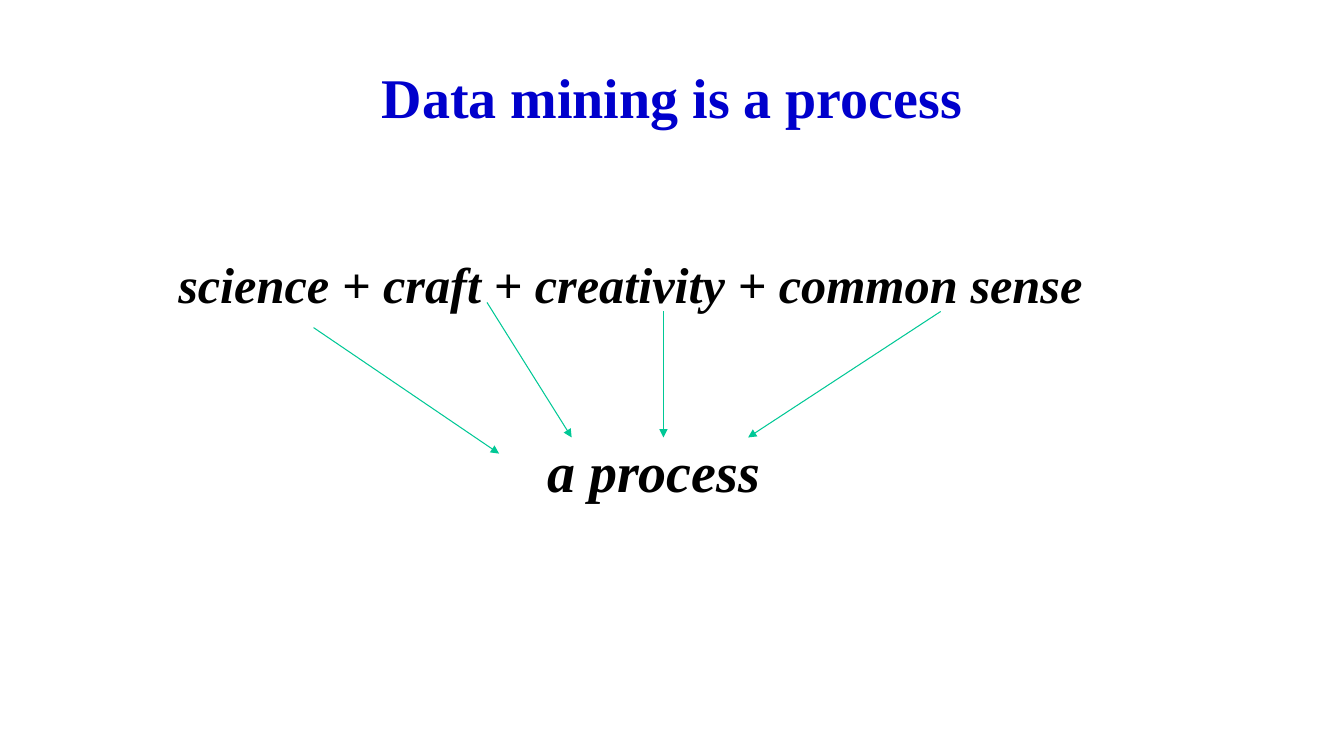
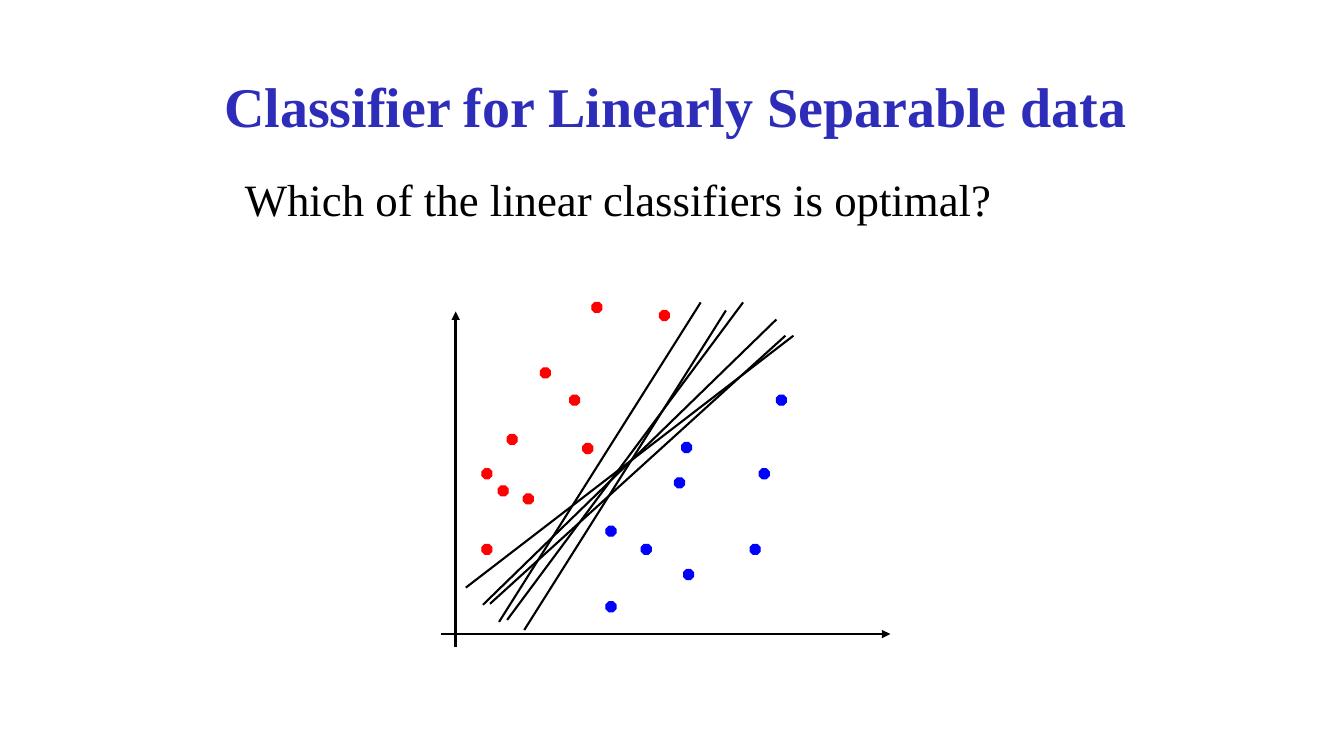
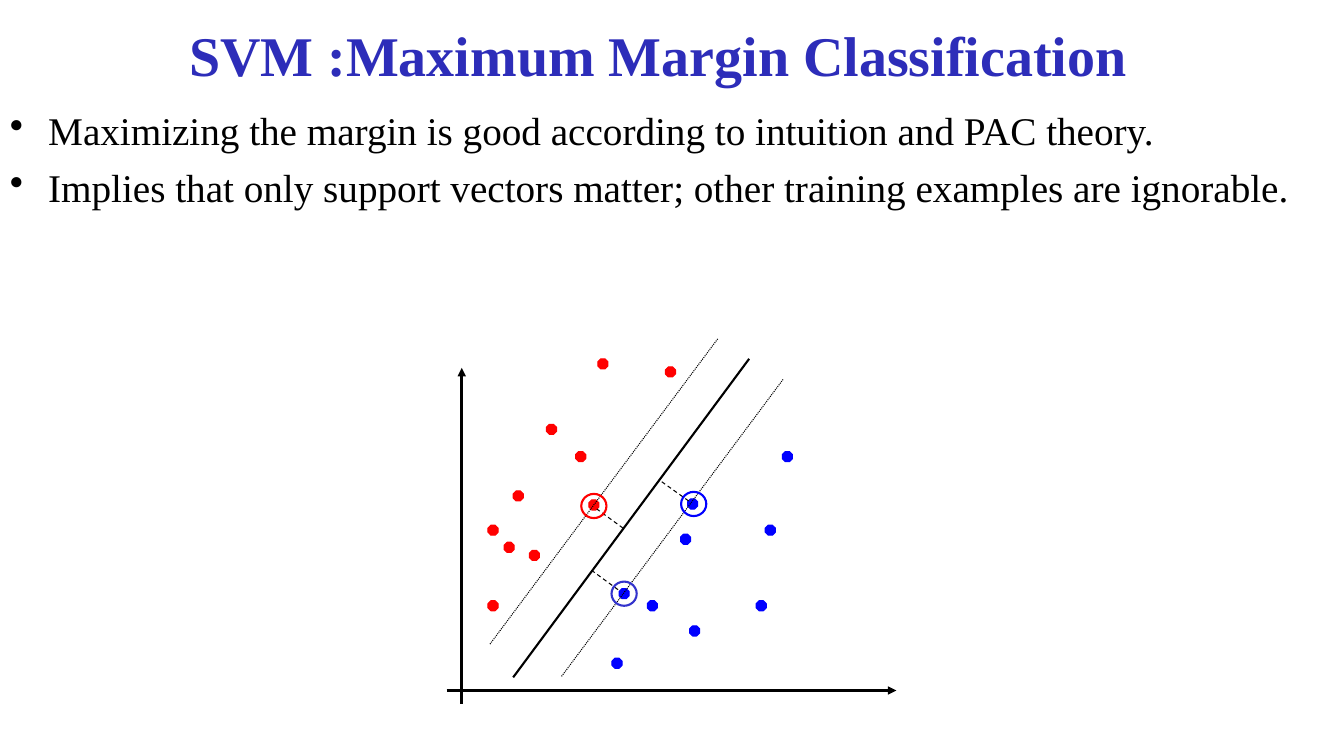
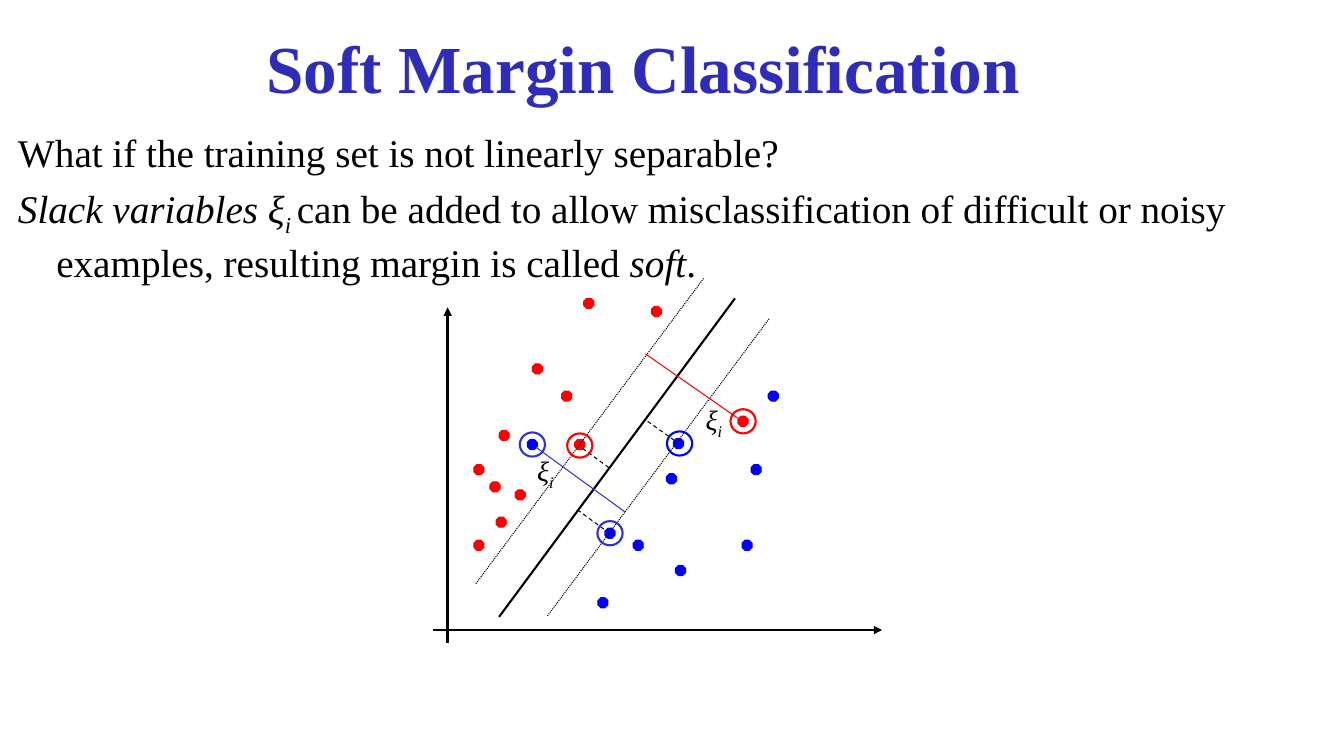
from dataclasses import dataclass

import lxml.etree
import pptx
import pptx.dml.color
import pptx.enum.dml
import pptx.enum.shapes
import pptx.enum.text
import pptx.oxml.ns
import pptx.presentation
import pptx.slide
import pptx.text.text
import pptx.util

Inches = pptx.util.Inches
Pt = pptx.util.Pt
RGBColor = pptx.dml.color.RGBColor
Dash = pptx.enum.dml.MSO_LINE
Shape = pptx.enum.shapes.MSO_SHAPE
qn = pptx.oxml.ns.qn

# Shared style
FONT = "Times New Roman"
BLACK = RGBColor(0x00, 0x00, 0x00)
ROYAL = RGBColor(0x00, 0x00, 0xCC)
INDIGO = RGBColor(0x2D, 0x2D, 0xB9)
VIOLET = RGBColor(0x33, 0x33, 0xCC)
RED = RGBColor(0xFF, 0x00, 0x00)
BLUE = RGBColor(0x00, 0x00, 0xFF)
GREEN = RGBColor(0x00, 0xC8, 0x96)
TITLE_HEIGHT = 1.25
HANGING = 0.38
DOT = 0.1
RING_WIDTH, RING_HEIGHT = 0.25, 0.24

Point = tuple[float, float]


@dataclass(frozen=True)
class Box:
    left: float
    top: float
    width: float
    height: float

    def lengths(self) -> list[int]:
        return [Inches(v) for v in (self.left, self.top, self.width, self.height)]


@dataclass(frozen=True)
class Span:
    text: str
    italic: bool = False
    subscript: bool = False


@dataclass(frozen=True)
class Stroke:
    color: RGBColor = BLACK
    width: float = 0.75
    dash: Dash | None = None
    arrow: bool = False


@dataclass(frozen=True)
class Mark:
    """A data point or a ring, placed by its centre."""
    x: float
    y: float
    color: RGBColor


AXIS = Stroke(width=2, arrow=True)
BOUNDARY = Stroke(width=1.5)
MARGIN = Stroke(dash=Dash.ROUND_DOT)
DISTANCE = Stroke(dash=Dash.DASH)
FLOW = Stroke(color=GREEN, arrow=True)


# Text
def add_text(page: pptx.slide.Slide, box: Box, paragraphs: list[list[Span]], size: float,
             color: RGBColor = BLACK, bold: bool = False, hanging: bool = False,
             bullet: str = "") -> pptx.text.text.TextFrame:
    frame = page.shapes.add_textbox(*box.lengths()).text_frame
    frame.word_wrap = True
    for number, spans in enumerate(paragraphs):
        para = frame.add_paragraph() if number else frame.paragraphs[0]
        font = para.font
        font.name, font.size, font.bold = FONT, Pt(size), bold
        font.color.rgb = color
        if number:
            para.space_before = Pt(round(size * 0.24, 1))
        for span in spans:
            run = para.add_run()
            run.text = span.text
            if span.italic:
                run.font.italic = True
            if span.subscript:
                run._r.get_or_add_rPr().set("baseline", "-25000")
        if hanging:
            properties = para._p.get_or_add_pPr()
            properties.set("marL", str(Inches(HANGING)))
            properties.set("indent", str(-Inches(HANGING)))
            if bullet:
                mark = lxml.etree.Element(qn("a:buChar"), char=bullet)
                properties.find(qn("a:defRPr")).addprevious(mark)
    return frame


def add_page(deck: pptx.presentation.Presentation, title: str, left: float, top: float,
             width: float, size: float = 40, color: RGBColor = INDIGO) -> pptx.slide.Slide:
    page = deck.slides.add_slide(deck.slide_layouts[6])
    frame = add_text(page, Box(left, top, width, TITLE_HEIGHT), [[Span(title)]],
                     size, color, bold=True)
    frame.vertical_anchor = pptx.enum.text.MSO_ANCHOR.MIDDLE
    frame.paragraphs[0].alignment = pptx.enum.text.PP_ALIGN.CENTER
    return page


# Lines
def add_line(page: pptx.slide.Slide, start: Point, end: Point, stroke: Stroke) -> None:
    line = page.shapes.add_connector(pptx.enum.shapes.MSO_CONNECTOR.STRAIGHT,
                                     *(Inches(v) for v in start + end))
    line.line.color.rgb = stroke.color
    line.line.width = Pt(stroke.width)
    if stroke.dash is not None:
        line.line.dash_style = stroke.dash
    if stroke.arrow:
        lxml.etree.SubElement(line.line._get_or_add_ln(), qn("a:tailEnd"), type="triangle")
    lxml.etree.SubElement(line._element.spPr, qn("a:effectLst"))


# Scatter plot, measured in inches right of and above its origin
@dataclass(frozen=True)
class Plot:
    page: pptx.slide.Slide
    x: float
    y: float

    def line(self, start: Point, end: Point, stroke: Stroke) -> None:
        add_line(self.page, (self.x + start[0], self.y - start[1]),
                 (self.x + end[0], self.y - end[1]), stroke)

    def mark(self, mark: Mark, kind: Shape, width: float, height: float,
             line_width: float, filled: bool) -> None:
        box = Box(self.x + mark.x - width / 2, self.y - mark.y - height / 2, width, height)
        shape = self.page.shapes.add_shape(kind, *box.lengths())
        shape.shadow.inherit = False
        shape.line.color.rgb = mark.color
        shape.line.width = Pt(line_width)
        if filled:
            shape.fill.solid()
            shape.fill.fore_color.rgb = mark.color
        else:
            shape.fill.background()

    def dot(self, mark: Mark) -> None:
        self.mark(mark, Shape.OCTAGON, DOT, DOT, 0.75, True)

    def ring(self, mark: Mark) -> None:
        self.mark(mark, Shape.OVAL, RING_WIDTH, RING_HEIGHT, 1.5, False)


RED_POINTS = [(1.18, 2.32), (0.56, 1.93), (0.72, 1.34), (0.31, 0.84), (0.89, 2.59),
              (0.31, 1.59), (0.47, 1.42), (1.31, 1.84), (1.4, 3.24), (2.07, 3.16)]
BLUE_POINTS = [(2.29, 1.85), (1.89, 0.84), (2.97, 0.84), (1.54, 0.27), (2.22, 1.5),
               (2.31, 0.59), (3.06, 1.59), (3.23, 2.32)]
LOOSE_POINT = (1.54, 1.02)
SUPPORT_POINT = (1.61, 0.96)

CANDIDATES = [((0.34, 0.3), (3.27, 2.96)), ((0.51, 0.14), (2.85, 3.29)),
              ((0.1, 0.46), (3.35, 2.96)), ((0.68, 0.04), (2.68, 3.21)),
              ((0.43, 0.12), (2.43, 3.29)), ((0.27, 0.29), (3.18, 3.12))]
MARGIN_LINES = [((0.51, 0.13), (2.85, 3.29), BOUNDARY),
                ((0.99, 0.14), (3.19, 3.09), MARGIN),
                ((0.28, 0.46), (2.54, 3.49), MARGIN),
                ((2.25, 1.88), (1.97, 2.08), DISTANCE),
                ((1.55, 1.0), (1.29, 1.19), DISTANCE),
                ((1.6, 1.61), (1.34, 1.8), DISTANCE)]
SUPPORT_RINGS = [Mark(1.31, 1.83, RED), Mark(*SUPPORT_POINT, VIOLET), Mark(2.3, 1.85, BLUE)]


def add_plot(page: pptx.slide.Slide, x: float, y: float, extra_blue: Point) -> Plot:
    plot = Plot(page, x, y)
    plot.line((0, -0.13), (0, 3.2), AXIS)
    plot.line((-0.15, 0), (4.31, 0), AXIS)
    for color, points in ((RED, RED_POINTS), (BLUE, BLUE_POINTS + [extra_blue])):
        for point in points:
            plot.dot(Mark(*point, color))
    return plot


def add_margin_plot(page: pptx.slide.Slide, x: float, y: float) -> Plot:
    plot = add_plot(page, x, y, SUPPORT_POINT)
    for start, end, stroke in MARGIN_LINES:
        plot.line(start, end, stroke)
    for ring in SUPPORT_RINGS:
        plot.ring(ring)
    return plot


# Slides
def build_process(deck: pptx.presentation.Presentation) -> None:
    page = add_page(deck, "Data mining is a process", 1, 0.33, 11.33, color=ROYAL)
    add_text(page, Box(1.67, 2.46, 10.33, 0.7),
             [[Span("science + craft + creativity + common sense", italic=True)]], 36, bold=True)
    add_text(page, Box(5.33, 4.28, 3, 0.75), [[Span("a process", italic=True)]], 40, bold=True)
    for start, end in (((3.11, 3.25), (4.95, 4.5)), ((4.83, 3), (5.67, 4.34)),
                       ((9.33, 3.09), (7.42, 4.34)), ((6.58, 3.09), (6.58, 4.34))):
        add_line(page, start, end, FLOW)


def build_linear(deck: pptx.presentation.Presentation) -> None:
    page = add_page(deck, "Classifier for Linearly Separable data", 1.74, 0.42, 9.92)
    add_text(page, Box(2.33, 1.65, 9, 0.7),
             [[Span("Which of the linear classifiers is optimal?")]], 32, hanging=True)
    plot = add_plot(page, 4.52, 6.29, LOOSE_POINT)
    for start, end in CANDIDATES:
        plot.line(start, end, BOUNDARY)


def build_maximum_margin(deck: pptx.presentation.Presentation) -> None:
    page = add_page(deck, "SVM :Maximum Margin Classification", 0.86, -0.09, 11.33)
    add_text(page, Box(0, 1.01, 13, 1.2), [
        [Span("Maximizing the margin is good according to intuition and PAC theory.")],
        [Span("Implies that only support vectors matter; "
              "other training examples are ignorable.")],
    ], 28, hanging=True, bullet="•")
    add_margin_plot(page, 4.58, 6.85)


def build_soft_margin(deck: pptx.presentation.Presentation) -> None:
    page = add_page(deck, "Soft Margin Classification", 2.13, 0.04, 8.5, size=48)
    add_text(page, Box(0.08, 1.22, 13.09, 1.7), [
        [Span("What if the training set is not linearly separable?")],
        [Span("Slack variables ξ", italic=True), Span("i ", italic=True, subscript=True),
         Span("can be added to allow misclassification of difficult or noisy examples, "
              "resulting margin is called "), Span("soft", italic=True), Span(".")],
    ], 28, hanging=True)
    plot = add_margin_plot(page, 4.44, 6.25)
    # Misclassified points and their slack
    plot.dot(Mark(0.53, 1.07, RED))
    for outlier, ring_color, start, end in (
            (Mark(2.93, 2.07, RED), RED, (2.88, 2.1), (1.96, 2.74)),
            (Mark(0.84, 1.84, BLUE), VIOLET, (0.88, 1.81), (1.76, 1.17))):
        plot.dot(outlier)
        plot.line(start, end, Stroke(color=ring_color))
        plot.ring(Mark(outlier.x, outlier.y, ring_color))
    for left, top in ((6.9, 3.94), (5.23, 4.45)):
        add_text(page, Box(left, top, 0.77, 0.43),
                 [[Span("ξ", italic=True), Span("i", italic=True, subscript=True)]], 20)


def main() -> None:
    deck = pptx.Presentation()
    deck.slide_width, deck.slide_height = Inches(13.33), Inches(7.5)
    for build in (build_process, build_linear, build_maximum_margin, build_soft_margin):
        build(deck)
    deck.save("out.pptx")


if __name__ == "__main__":
    main()
